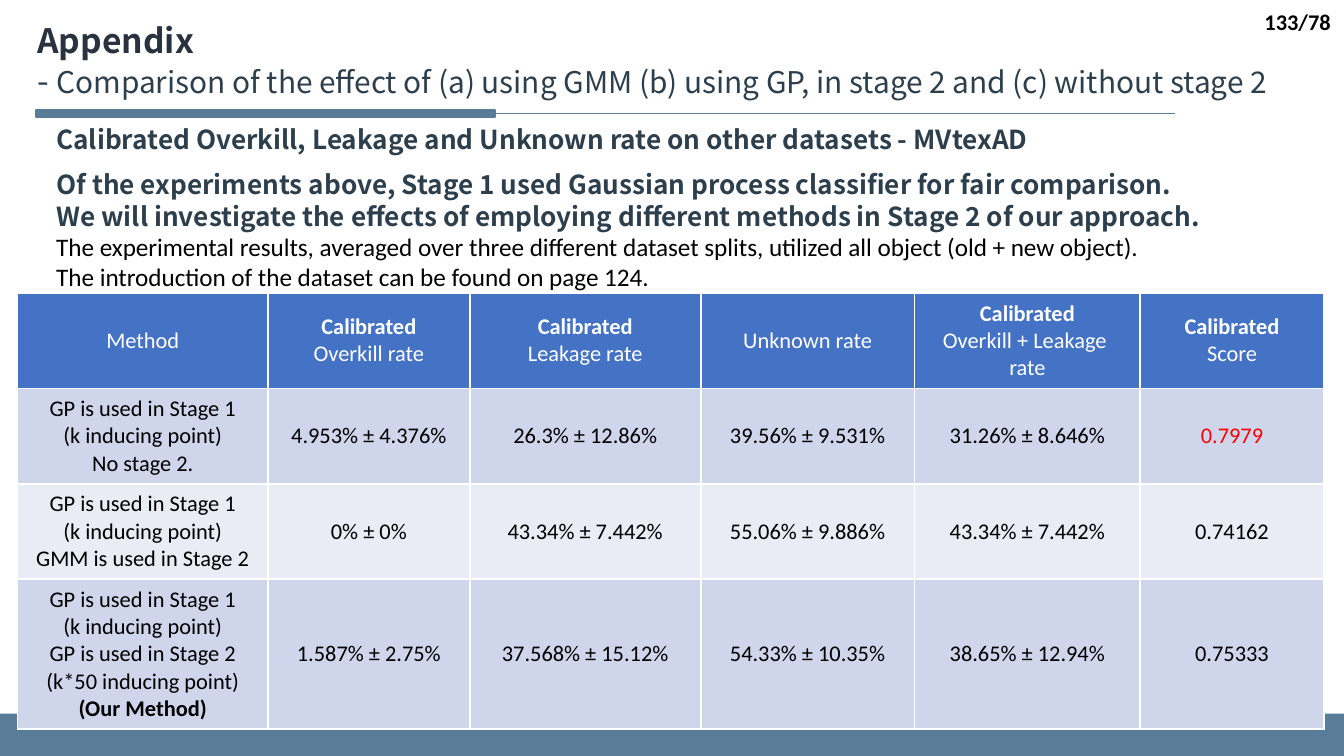
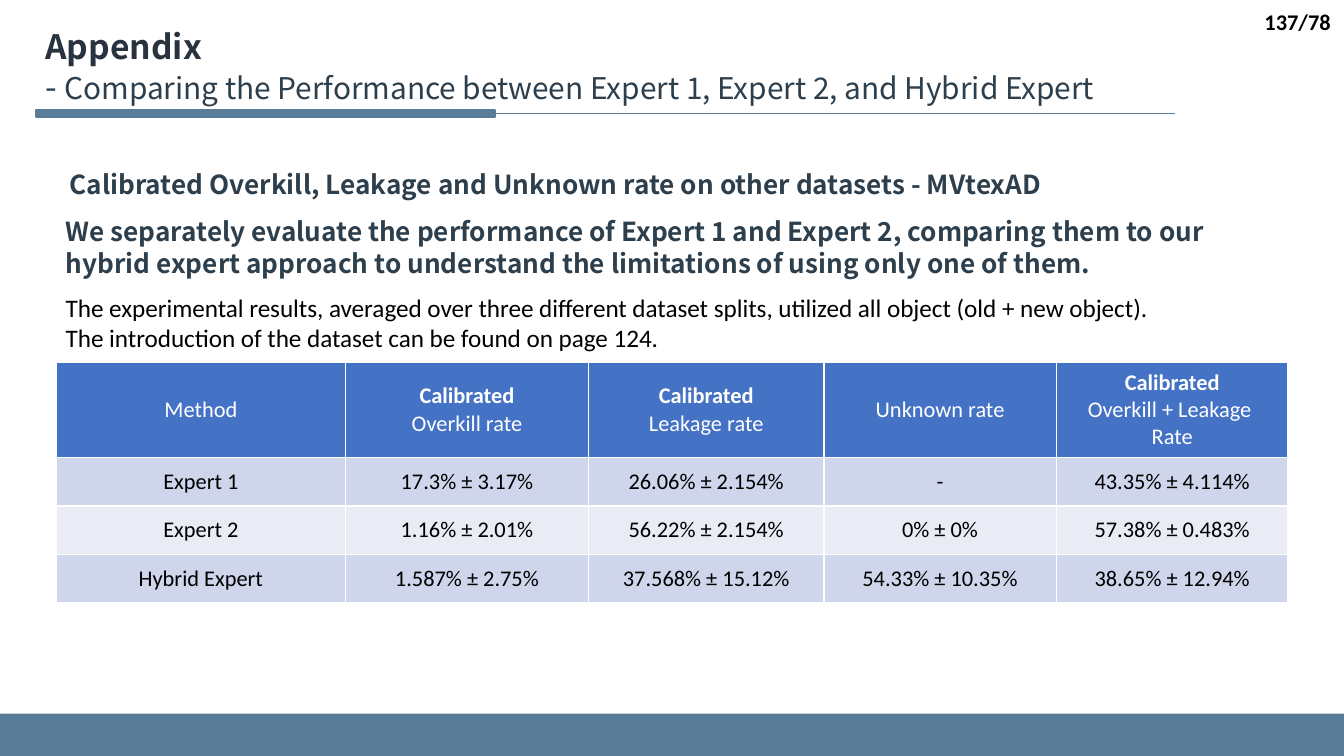
from lxml.etree import SubElement
from pptx import Presentation
from pptx.dml.color import RGBColor
from pptx.enum.shapes import MSO_CONNECTOR, MSO_SHAPE
from pptx.enum.text import MSO_ANCHOR, MSO_AUTO_SIZE, PP_ALIGN
from pptx.oxml import parse_xml
from pptx.oxml.ns import nsdecls, qn
from pptx.util import Pt

PX = 4572  # EMU per px, 200 px to the inch
SLIDE_W, SLIDE_H = 2000, 1125

STEEL = RGBColor(0x59, 0x7D, 0x98)
INK = RGBColor(0x29, 0x32, 0x3F)
SLATE = RGBColor(0x2D, 0x3F, 0x4C)
HEADER_BLUE = RGBColor(0x44, 0x72, 0xC4)
BAND_DARK = RGBColor(0xCF, 0xD5, 0xEA)
BAND_LIGHT = RGBColor(0xE9, 0xEB, 0xF5)
WHITE = RGBColor(0xFF, 0xFF, 0xFF)
BLACK = RGBColor(0, 0, 0)
RED = RGBColor(0xFF, 0, 0)

HEADING_FONT = "Noto Sans CJK SC"
BODY_FONT = "Calibri"

TOTAL_PAGES = "/78"
TOPIC = "Calibrated Overkill, Leakage and Unknown rate on other datasets - MVtexAD"
SETUP = [
    "The experimental results, averaged over three different dataset splits, "
    "utilized all object (old + new object).",
    "The introduction of the dataset can be found on page 124.",
]
OUR_METHOD = "(Our Method)"
BOLD_LINES = {"Calibrated", OUR_METHOD}
RATE_HEADERS = ["Method", "Calibrated\nOverkill rate", "Calibrated\nLeakage rate",
                "Unknown rate"]
GP_STAGE_1 = "GP is used in Stage 1\n(k inducing point)\n"


def px(*lengths):
    return [length * PX for length in lengths]


def add_run(paragraph, text, font, size, color, bold=False):
    run = paragraph.add_run()
    run.text = text
    run.font.name, run.font.size, run.font.bold = font, Pt(size), bold
    run.font.color.rgb = color
    SubElement(run.font._element, qn("a:ea")).set("typeface", font)


def add_box(slide, box):
    frame = slide.shapes.add_textbox(*px(*box)).text_frame
    frame.word_wrap = True
    return frame


def add_lines(slide, box, lines, font, size, color, bold=False):
    frame = add_box(slide, box)
    frame.auto_size = MSO_AUTO_SIZE.SHAPE_TO_FIT_TEXT
    for i, line in enumerate(lines):
        paragraph = frame.add_paragraph() if i else frame.paragraphs[0]
        add_run(paragraph, line, font, size, color, bold)


def add_heading(slide, box, lines):
    add_lines(slide, box, lines, HEADING_FONT, 14, SLATE, True)


def add_setup(slide, box):
    add_lines(slide, box, SETUP, BODY_FONT, 13.5, BLACK)


def add_bar(slide, box):
    bar = slide.shapes.add_shape(MSO_SHAPE.RECTANGLE, *px(*box))
    bar.shadow.inherit = False
    bar.fill.solid()
    bar.fill.fore_color.rgb = STEEL
    bar.line.fill.background()
    return bar


def add_frame(slide):
    # Footer band
    add_bar(slide, (0, 1062, SLIDE_W, 63))
    # Title rule with its thick start
    rule = slide.shapes.add_connector(MSO_CONNECTOR.STRAIGHT, *px(1748, 169, 54, 169))
    rule.line.color.rgb = STEEL
    rule.line.width = Pt(0.5)
    SubElement(rule._element.spPr, qn("a:effectLst"))
    accent = add_bar(slide, (54, 164, 683, 10))
    accent.line.color.rgb = STEEL
    accent.line.width = Pt(1)
    rule.end_connect(accent, 1)


def add_title(slide, box, subtitle):
    frame = add_box(slide, box)
    frame.auto_size = MSO_AUTO_SIZE.SHAPE_TO_FIT_TEXT
    paragraph = frame.paragraphs[0]
    add_run(paragraph, "Appendix", HEADING_FONT, 18, INK, True)
    paragraph.add_line_break()
    add_run(paragraph, "- ", HEADING_FONT, 18, SLATE)
    add_run(paragraph, subtitle, HEADING_FONT, 16, SLATE)


def add_page_number(slide, page):
    for text, box in ((TOTAL_PAGES, (1908, 2, 92, 61)), (page, (1550, 0, 402, 63))):
        frame = add_box(slide, box)
        frame.vertical_anchor = MSO_ANCHOR.MIDDLE
        paragraph = frame.paragraphs[0]
        paragraph.alignment = PP_ALIGN.RIGHT
        add_run(paragraph, text, BODY_FONT, 12, BLACK, True)


def set_borders(cell):
    properties = cell._tc.get_or_add_tcPr()
    for i, side in enumerate("LRTB"):
        properties.insert(i, parse_xml(
            f'<a:ln{side} {nsdecls("a")} w="{Pt(1)}"><a:solidFill>'
            f'<a:srgbClr val="{WHITE}"/></a:solidFill></a:ln{side}>'))


def fill_cell(cell, text, fill, color):
    cell.fill.solid()
    cell.fill.fore_color.rgb = fill
    set_borders(cell)
    cell.vertical_anchor = MSO_ANCHOR.MIDDLE
    frame = cell.text_frame
    for i, line in enumerate(text.split("\n")):
        paragraph = frame.add_paragraph() if i else frame.paragraphs[0]
        paragraph.alignment = PP_ALIGN.CENTER
        add_run(paragraph, line, BODY_FONT, 12, color, line in BOLD_LINES)


def add_results(slide, left, top, widths, heights, headers, results, highlight=None):
    table = slide.shapes.add_table(
        len(heights), len(widths),
        *px(left, top, sum(widths), sum(heights))).table
    for column, width in zip(table.columns, widths):
        column.width = width * PX
    for row, height in zip(table.rows, heights):
        row.height = height * PX
    # Header row
    for c, header in enumerate(headers):
        fill_cell(table.cell(0, c), header, HEADER_BLUE, WHITE)
    # Banded result rows
    for r, result in enumerate(results, 1):
        for c, value in enumerate(result):
            cell = table.cell(r, c)
            if c:
                cell.margin_left = cell.margin_right = 26 * PX
                cell.margin_top = cell.margin_bottom = 13 * PX
            fill_cell(cell, value, BAND_DARK if r % 2 else BAND_LIGHT,
                      RED if value == highlight else BLACK)


def build_stage_2_slide(slide):
    add_frame(slide)
    add_results(
        slide, 26, 436, [373, 300, 344, 318, 336, 273], [142, 142, 142, 223],
        RATE_HEADERS + ["Calibrated\nOverkill + Leakage \nrate", "Calibrated\nScore"],
        [
            [GP_STAGE_1 + "No stage 2.", "4.953% ± 4.376%", "26.3% ± 12.86%",
             "39.56% ± 9.531%", "31.26% ± 8.646%", "0.7979"],
            [GP_STAGE_1 + "GMM is used in Stage 2", "0% ± 0%", "43.34% ± 7.442%",
             "55.06% ± 9.886%", "43.34% ± 7.442%", "0.74162"],
            [GP_STAGE_1 + "GP is used in Stage 2\n(k*50 inducing point)\n" + OUR_METHOD,
             "1.587% ± 2.75%", "37.568% ± 15.12%", "54.33% ± 10.35%",
             "38.65% ± 12.94%", "0.75333"],
        ],
        highlight="0.7979")
    add_title(slide, (36, 20, 1958, 142),
              "Comparison of the effect of (a) using GMM (b) using GP, "
              "in stage 2 and (c) without stage 2")
    add_heading(slide, (64, 174, 1592, 68), [TOPIC])
    add_heading(slide, (64, 241, 1906, 114), [
        "Of the experiments above, Stage 1 used Gaussian process classifier "
        "for fair comparison.",
        "We will investigate the effects of employing different methods "
        "in Stage 2 of our approach."])
    add_setup(slide, (64, 334, 1650, 112))
    add_page_number(slide, "133")


def build_experts_slide(slide):
    add_frame(slide)
    add_results(
        slide, 84, 539, [430, 362, 350, 346, 345], [142, 72, 72, 72],
        RATE_HEADERS + ["Calibrated\nOverkill + Leakage \nRate"],
        [
            ["Expert 1", "17.3% ± 3.17%", "26.06% ± 2.154%", "-", "43.35% ± 4.114%"],
            ["Expert 2", "1.16% ± 2.01%", "56.22% ± 2.154%", "0% ± 0%",
             "57.38% ± 0.483%"],
            ["Hybrid Expert", "1.587% ± 2.75%", "37.568% ± 15.12%",
             "54.33% ± 10.35%", "38.65% ± 12.94%"],
        ])
    add_heading(slide, (84, 241, 1708, 68), [TOPIC])
    add_title(slide, (48, 28, 1932, 142),
              "Comparing the Performance between Expert 1, Expert 2, and Hybrid Expert")
    add_heading(slide, (78, 311, 1776, 114), [
        "We separately evaluate the performance of Expert 1 and Expert 2, comparing "
        "them to our hybrid expert approach to understand the limitations of using "
        "only one of them."])
    add_setup(slide, (78, 425, 1810, 112))
    add_page_number(slide, "137")


def main():
    deck = Presentation()
    deck.slide_width, deck.slide_height = px(SLIDE_W, SLIDE_H)
    blank = deck.slide_layouts[6]
    for build in (build_stage_2_slide, build_experts_slide):
        build(deck.slides.add_slide(blank))
    deck.save("out.pptx")


if __name__ == "__main__":
    main()
